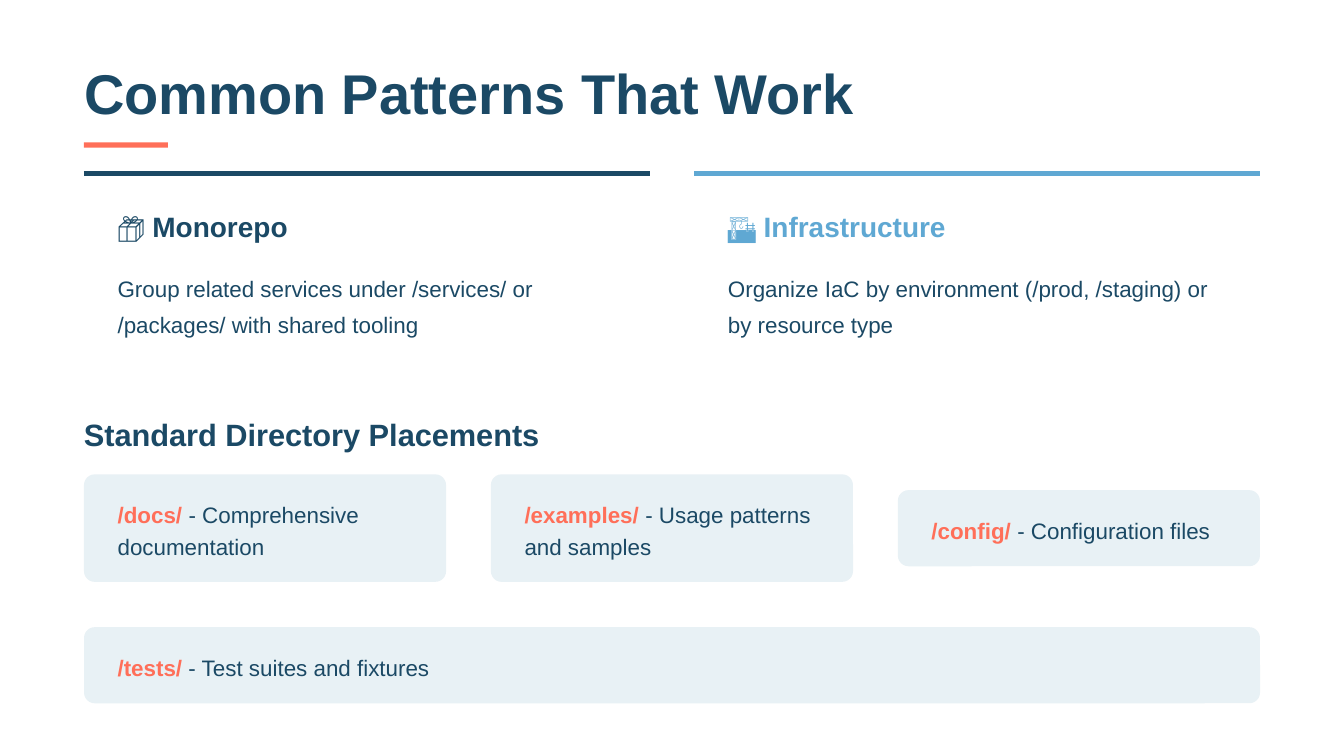
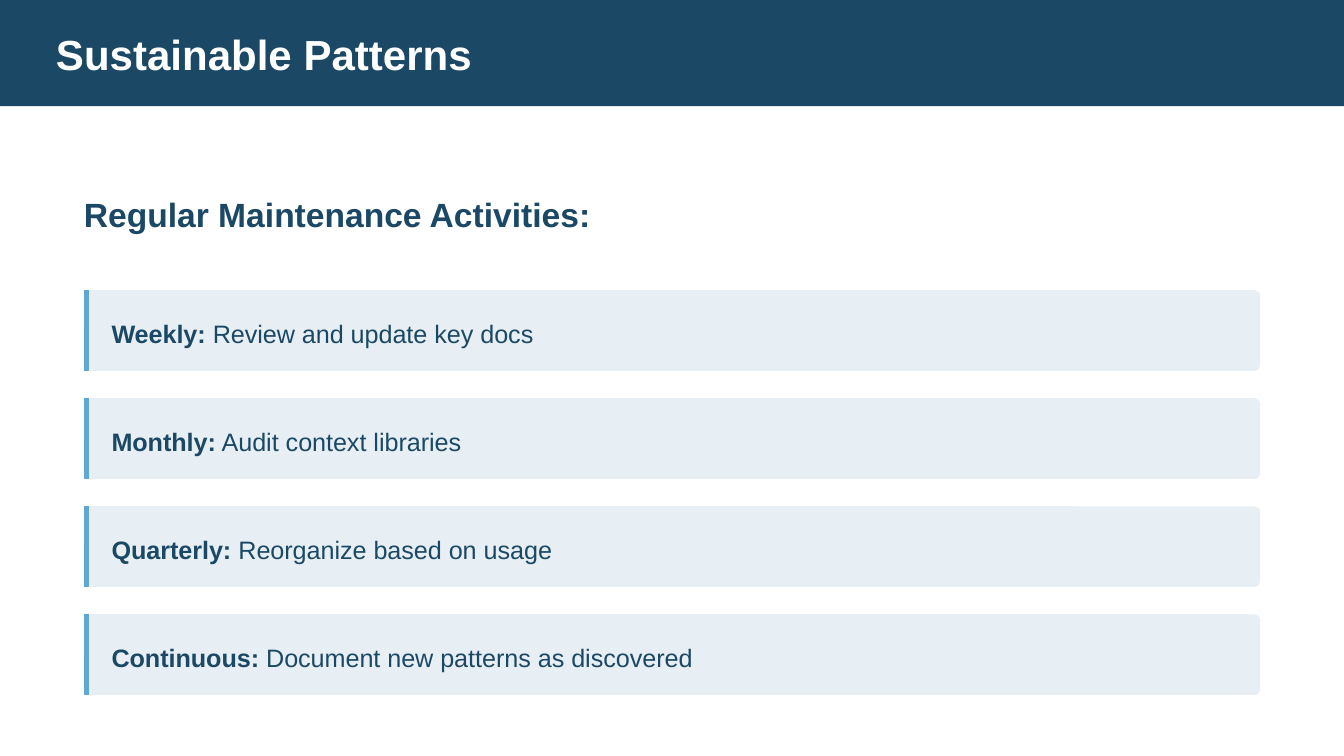
import pptx
import pptx.util
import pptx.dml.color
import pptx.enum.shapes
import pptx.oxml.ns
from lxml import etree

RGB = pptx.dml.color.RGBColor
NAVY = RGB(0x1B, 0x49, 0x65)
SKY = RGB(0x5F, 0xA8, 0xD3)
CORAL = RGB(0xFF, 0x6F, 0x59)
MIST = RGB(0xE8, 0xF1, 0xF5)
HAZE = RGB(0xE8, 0xEF, 0xF4)
WHITE = RGB(0xFF, 0xFF, 0xFF)
FONT = "Arial"
RECT = pptx.enum.shapes.MSO_SHAPE.RECTANGLE
ROUND = pptx.enum.shapes.MSO_SHAPE.ROUNDED_RECTANGLE

W, H = 10, 5.625
MARGIN = W / 16
SPAN = W - 2 * MARGIN
GAP = W / 30
PAD = W / 40
SLACK = 1.02

PATTERNS = [
    ("📦 Monorepo", NAVY,
     "Group related services under /services/ or /packages/ with shared tooling"),
    ("🏗️ Infrastructure", SKY,
     "Organize IaC by environment (/prod, /staging) or by resource type"),
]
PLACEMENTS = [
    ("/docs/", " - Comprehensive documentation", 2),
    ("/examples/", " - Usage patterns and samples", 2),
    ("/config/", " - Configuration files", 1),
]
ACTIVITIES = [
    ("Weekly:", " Review and update key docs"),
    ("Monthly:", " Audit context libraries"),
    ("Quarterly:", " Reorganize based on usage"),
    ("Continuous:", " Document new patterns as discovered"),
]


def inches(*lengths):
    return [pptx.util.Inches(length) for length in lengths]


def column(index, count):
    width = (SPAN - (count - 1) * GAP) / count
    return MARGIN + index * (width + GAP), width


def add_text(s, x, y, w, h, runs, size, leading, after=0):
    tf = s.shapes.add_textbox(*inches(x, y, w, h)).text_frame
    frame = dict(word_wrap=True, margin_left=0, margin_top=0,
                 margin_right=0, margin_bottom=0)
    for name, value in frame.items():
        setattr(tf, name, value)
    p = tf.paragraphs[0]
    p.line_spacing = pptx.util.Pt(leading)
    if after:
        p.space_after = pptx.util.Pt(after)
    for text, color, bold in runs:
        r = p.add_run()
        r.text = text
        style = dict(name=FONT, size=pptx.util.Pt(size), bold=bold)
        for name, value in style.items():
            setattr(r.font, name, value)
        r.font.color.rgb = color


def add_box(s, x, y, w, h, color, radius=0):
    sp = s.shapes.add_shape(ROUND if radius else RECT, *inches(x, y, w, h))
    sp.shadow.inherit = False
    sp.fill.solid()
    sp.fill.fore_color.rgb = color
    sp.line.fill.background()
    if radius:
        sp.adjustments[0] = radius / min(w, h)


def add_rule(s, x1, y1, x2, y2, color):
    line = s.shapes.add_connector(
        pptx.enum.shapes.MSO_CONNECTOR.STRAIGHT, *inches(x1, y1, x2, y2))
    line.line.color.rgb = color
    line.line.width = pptx.util.Pt(3)
    etree.SubElement(line._element.spPr, pptx.oxml.ns.qn("a:effectLst"))


def add_pattern(s, index, heading, color, body):
    x, w = column(index, len(PATTERNS))
    inner = (w - 2 * PAD) * SLACK
    add_box(s, x, 1.27, w, 1.49, WHITE, 0.08)
    add_rule(s, x, 1.29, x + w, 1.29, color)
    add_text(s, x + PAD, 1.56, inner, 0.25, [(heading, color, True)], 15, 18, 12)
    add_text(s, x + PAD, 1.98, inner, 0.53, [(body, NAVY, False)], 12, 19.2)


def add_placement(s, x, w, middle, name, note, lines):
    text_h = lines * 16.8 / 72
    h = text_h + GAP
    add_box(s, x, middle - h / 2, w, h, MIST, 0.08)
    add_text(s, x + PAD, middle - text_h / 2, (w - 2 * PAD) * SLACK, text_h,
             [(name, CORAL, True), (note, NAVY, False)], 12, 16.8)


def add_activity(s, y, label, note):
    h = 0.6
    add_box(s, MARGIN, y, SPAN, h, HAZE, 0.04)
    add_rule(s, MARGIN + 0.02, y, MARGIN + 0.02, y + h, SKY)
    add_text(s, 0.83, y + 0.17, SPAN - 2 * PAD, 0.26,
             [(label, NAVY, True), (note, NAVY, False)], 13.5, 18.9)


def build_patterns(s):
    add_text(s, MARGIN, 0.52, 5.85, 0.42,
             [("Common Patterns That Work", NAVY, True)], 30, 30)
    add_box(s, MARGIN, 1.06, MARGIN, 0.04, CORAL)
    for i, pattern in enumerate(PATTERNS):
        add_pattern(s, i, *pattern)
    add_text(s, MARGIN, 3.09, SPAN * SLACK, 0.27,
             [("Standard Directory Placements", NAVY, True)], 16.5, 19.8)
    for i, placement in enumerate(PLACEMENTS):
        add_placement(s, *column(i, len(PLACEMENTS)), 3.93, *placement)
    add_placement(s, MARGIN, SPAN, 4.95, "/tests/", " - Test suites and fixtures", 1)


def build_maintenance(s):
    add_box(s, 0, 0, W, 0.79, NAVY)
    add_text(s, W / 24, 0.21, 4.69, 0.38,
             [("Sustainable Patterns", WHITE, True)], 22.5, 27)
    add_text(s, MARGIN, 1.41, SPAN * SLACK, 0.33,
             [("Regular Maintenance Activities:", NAVY, True)], 18, 24, 18)
    for i, activity in enumerate(ACTIVITIES):
        add_activity(s, 2.16 + i * H / 7, *activity)


def main():
    prs = pptx.Presentation()
    prs.slide_width, prs.slide_height = inches(W, H)
    for build in (build_patterns, build_maintenance):
        s = prs.slides.add_slide(prs.slide_layouts[6])
        s.background.fill.solid()
        s.background.fill.fore_color.rgb = WHITE
        build(s)
    prs.save("out.pptx")


if __name__ == "__main__":
    main()
